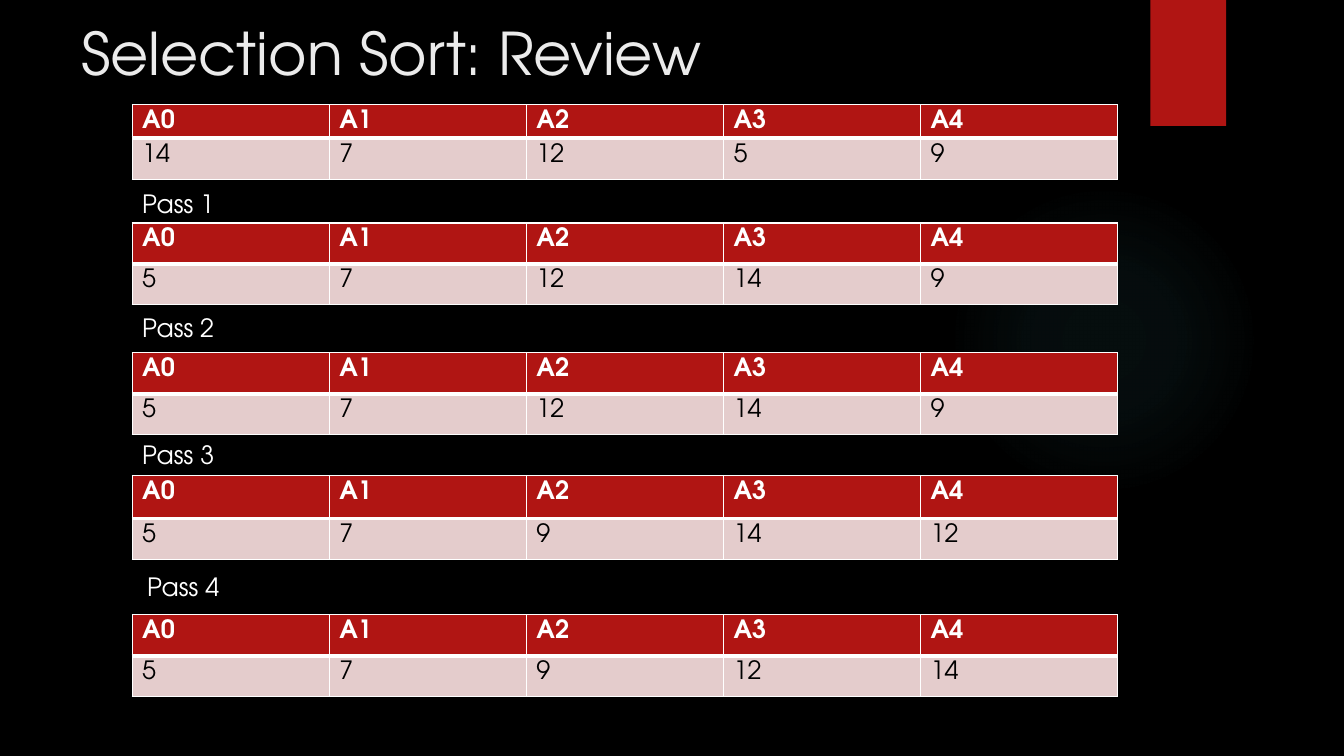
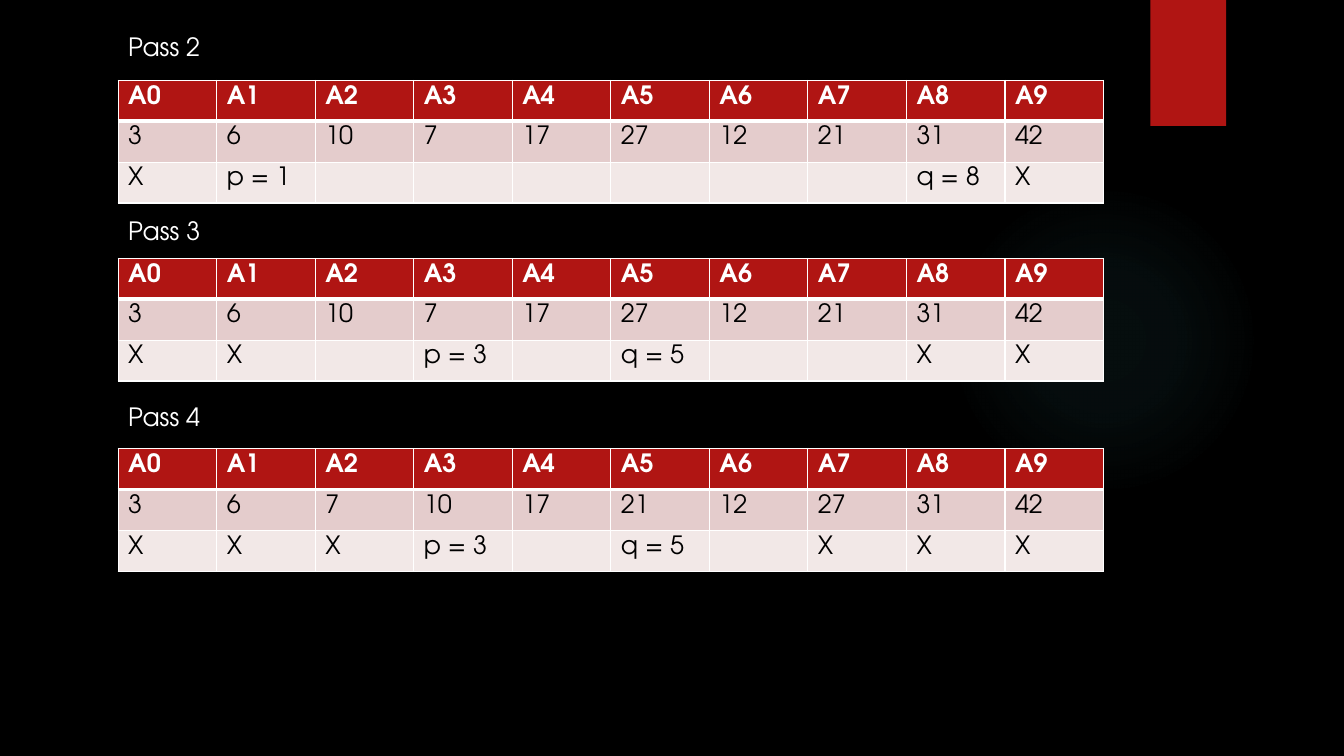
from dataclasses import dataclass

from lxml import etree
from pptx import Presentation
from pptx.dml.color import RGBColor
from pptx.enum.shapes import MSO_SHAPE
from pptx.enum.text import MSO_ANCHOR, MSO_AUTO_SIZE, PP_ALIGN
from pptx.oxml import parse_xml
from pptx.oxml.ns import nsdecls, qn
from pptx.util import Pt

OVAL, RECTANGLE = MSO_SHAPE.OVAL, MSO_SHAPE.RECTANGLE
TOP, LEFT = MSO_ANCHOR.TOP, PP_ALIGN.LEFT
NO_FIT, GROW = MSO_AUTO_SIZE.NONE, MSO_AUTO_SIZE.SHAPE_TO_FIT_TEXT


@dataclass(frozen=True)
class Theme:
    """Colours, font and type sizes shared by the slides."""
    font: str = "TeX Gyre Adventor"
    title_size: int = 42
    text_size: int = 18
    black: str = "000000"
    white: str = "FFFFFF"
    title: str = "EBEBEB"
    red: str = "B01513"
    glow: str = "50B9C1"
    bands: tuple = ("E4CCCC", "F2E8E7")


THEME = Theme()
TABLE_WIDTH = 704
ROW_HEIGHT = 29.2


def style(paragraph, color, size=THEME.text_size, bold=False):
    """Set the theme font with a colour, size and weight on a paragraph."""
    font = paragraph.font
    font.name, font.size, font.bold = THEME.font, Pt(size), bold
    font.color.rgb = RGBColor.from_string(color)


def add_array(slide, left, top, rows, header_height=ROW_HEIGHT):
    """Add a table with index headings above the given rows of cells."""
    count = len(rows[0])
    lines = [[f"A{index}" for index in range(count)]] + rows
    frame = slide.shapes.add_table(len(lines), count, Pt(left), Pt(top),
                                   Pt(TABLE_WIDTH), Pt(ROW_HEIGHT * len(lines)))
    full_height = frame.height
    frame.table.rows[0].height = Pt(header_height)
    frame.height = full_height
    for row, values in enumerate(lines):
        header = row == 0
        fill = THEME.red if header else THEME.bands[row - 1]
        widths = {"lnL": 1, "lnR": 1, "lnT": 3 if row == 1 else 1,
                  "lnB": 3 if header else 1}
        for column, value in enumerate(values):
            cell = frame.table.cell(row, column)
            cell.text = value
            style(cell.text_frame.paragraphs[0],
                  THEME.white if header else THEME.black, bold=header)
            properties = cell._tc.get_or_add_tcPr()
            for side, width in widths.items():
                border = etree.SubElement(properties, qn(f"a:{side}"), w=str(Pt(width)))
                paint = etree.SubElement(border, qn("a:solidFill"))
                etree.SubElement(paint, qn("a:srgbClr"), val=THEME.white)
            cell.fill.solid()
            cell.fill.fore_color.rgb = RGBColor.from_string(fill)


prs = Presentation()
prs.slide_width, prs.slide_height = Pt(960), Pt(540)
title_only, blank = prs.slide_layouts[5], prs.slide_layouts[6]
selection = prs.slides.add_slide(title_only)
partition = prs.slides.add_slide(blank)

# Shared background, glow and ribbon, moved to the slide master
master = prs.slide_master
master.background.fill.solid()
master.background.fill.fore_color.rgb = RGBColor.from_string(THEME.black)

glow = selection.shapes.add_shape(OVAL, Pt(677.5), Pt(131.8), Pt(221.8), Pt(221.8))
glow.shadow.inherit = False
glow.line.fill.background()
glow.fill.background()
stops = "".join(
    f'<a:gs pos="{position * 1000}"><a:srgbClr val="{THEME.glow}">'
    f'<a:alpha val="{alpha * 1000}"/></a:srgbClr></a:gs>'
    for position, alpha in ((0, 7), (36, 6), (69, 0)))
gradient = parse_xml(
    f'<a:gradFill {nsdecls("a")}><a:gsLst>{stops}</a:gsLst><a:path path="circle">'
    '<a:fillToRect l="50000" t="50000" r="50000" b="50000"/></a:path></a:gradFill>')
glow_properties = glow.element.spPr
glow_properties.replace(glow_properties.find(qn("a:noFill")), gradient)

ribbon = selection.shapes.add_shape(RECTANGLE, Pt(821.8), Pt(0), Pt(54), Pt(90))
ribbon.fill.solid()
ribbon.fill.fore_color.rgb = RGBColor.from_string(THEME.red)
ribbon.line.fill.background()
ribbon.shadow.inherit = False
shadow = etree.SubElement(
    ribbon.element.spPr.find(qn("a:effectLst")), qn("a:outerShdw"),
    blurRad=str(Pt(3)), dist=str(Pt(2)), dir="5400000", rotWithShape="0")
shadow_color = etree.SubElement(shadow, qn("a:srgbClr"), val=THEME.black)
etree.SubElement(shadow_color, qn("a:alpha"), val="45000")

for position, decoration in enumerate((glow, ribbon), start=2):
    master.shapes.element.insert(position, decoration.element)

# Title of the selection sort slide
title = selection.shapes.title
title.left, title.top, title.width, title.height = Pt(51), Pt(8.6), Pt(741), Pt(110)
title.text_frame.text = "Selection Sort: Review"
title.text_frame.vertical_anchor = TOP
title.text_frame.auto_size = NO_FIT
title.text_frame.paragraphs[0].alignment = LEFT
style(title.text_frame.paragraphs[0], THEME.title, THEME.title_size)

# Selection sort: top, header height, values
selection_arrays = [
    (74.9, 0, "14 7 12 5 9"),
    (159.3, ROW_HEIGHT, "5 7 12 14 9"),
    (252, ROW_HEIGHT, "5 7 12 14 9"),
    (339.6, 30.8, "5 7 9 14 12"),
    (439.2, ROW_HEIGHT, "5 7 9 12 14"),
]
for top, header_height, values in selection_arrays:
    add_array(selection, 94.4, top, [values.split()], header_height)

# Partition passes: top, values, markers below them
partition_arrays = [
    (57.4, "3 6 10 7 17 27 12 21 31 42",
     ["X", "p = 1", "", "", "", "", "", "", "q = 8", "X"]),
    (184.6, "3 6 10 7 17 27 12 21 31 42",
     ["X", "X", "", "p = 3", "", "q = 5", "", "", "X", "X"]),
    (320.4, "3 6 7 10 17 21 12 27 31 42",
     ["X", "X", "X", "p = 3", "", "q = 5", "", "X", "X", "X"]),
]
for top, values, markers in partition_arrays:
    add_array(partition, 84.4, top, [values.split(), markers])

# Pass labels: slide, pass number, left, top, width
pass_labels = [
    (selection, 1, 94.4, 131, 127),
    (selection, 2, 94.4, 219.6, 127),
    (selection, 3, 94.4, 310.3, 120),
    (selection, 4, 98, 404.6, 120),
    (partition, 2, 84.4, 18.7, 139),
    (partition, 3, 84.4, 150.5, 98),
    (partition, 4, 84.4, 283, 114),
]
for slide, number, left, top, width in pass_labels:
    label = slide.shapes.add_textbox(Pt(left), Pt(top), Pt(width), Pt(29))
    label.text_frame.word_wrap = True
    label.text_frame.auto_size = GROW
    label.text_frame.text = f"Pass {number}"
    style(label.text_frame.paragraphs[0], THEME.white)

prs.save("out.pptx")
